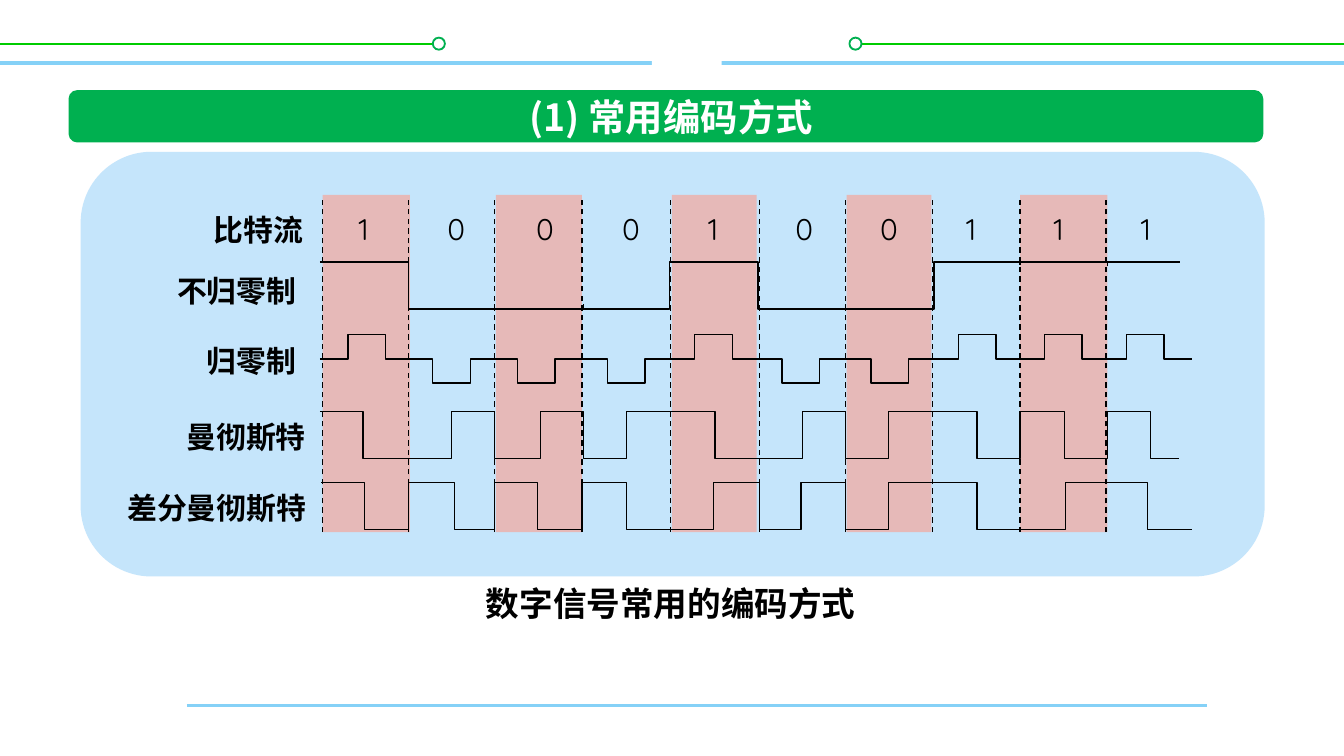
import pptx
import pptx.util
import pptx.dml.color
import pptx.enum.dml
import pptx.enum.shapes
import pptx.enum.text
import pptx.oxml.ns
import lxml.etree

SCALE = 9144
CJK, LATIN = "Noto Sans CJK SC", "Quicksand"
BLACK, WHITE, GREEN, LIME = "000000", "FFFFFF", "00B050", "00CC00"
SKY, PANEL, BAND = "85D1F7", "C5E5FB", "E6B9B8"

TITLE = "(1) 常用编码方式"
CAPTION = "数字信号常用的编码方式"
LABELS = [
    ("比特流", 149, 152),
    ("不归零制", 122, 198),
    ("归零制", 144, 250),
    ("曼彻斯特", 129, 306),
    ("差分曼彻斯特", 85, 359),
]
BITS = "1000100111"
BIT_LEFTS = [257, 323, 389, 453, 517, 582, 645, 709, 774, 839]
EDGES = [240, 304, 368, 433, 499, 565, 629, 694, 759, 823]
BANDS = [(240, 65), (369, 64), (500, 63), (630, 63), (759, 65)]
TICKS = [(368, 226), (434, 226), (629, 226), (759, 194), (824, 195)]
PULSE_LEFTS = [238, 301, 364, 431, 496, 561, 627, 692, 756, 817]
PULSE_BASE, PULSE_HEIGHT = 267, 18
WAVES = [
    (195, 238, [304, 498, 564, 695], 878),
    (306, 238, [270, 336, 368, 402, 434, 466, 532, 597, 629, 661,
                727, 759, 792, 824, 856], 877),
    (359, 239, [271, 304, 338, 368, 400, 433, 466, 531, 565, 596,
                629, 661, 727, 793, 854], 887),
]
WAVE_HEIGHT = 35

prs = pptx.Presentation()
prs.slide_width = 1000 * SCALE
prs.slide_height = prs.slide_width * 9 // 16
s = prs.slides.add_slide(prs.slide_layouts[6])
KIND = pptx.enum.shapes.MSO_SHAPE


def rgb(value):
    return pptx.dml.color.RGBColor.from_string(value)


def shape(kind, x, y, w, h, fill, line=None):
    sp = s.shapes.add_shape(kind, x * SCALE, y * SCALE, w * SCALE, h * SCALE)
    sp.shadow.inherit = False
    sp.fill.solid()
    sp.fill.fore_color.rgb = rgb(fill)
    if line:
        sp.line.color.rgb = rgb(line)
        sp.line.width = pptx.util.Pt(1)
    else:
        sp.line.fill.background()
    return sp


def line(x1, y1, x2, y2, color, width, dashed=False):
    c = s.shapes.add_connector(pptx.enum.shapes.MSO_CONNECTOR.STRAIGHT,
                               x1 * SCALE, y1 * SCALE, x2 * SCALE, y2 * SCALE)
    c.line.color.rgb = rgb(color)
    c.line.width = pptx.util.Pt(width)
    if dashed:
        c.line.dash_style = pptx.enum.dml.MSO_LINE.DASH
    lxml.etree.SubElement(c._element.spPr, pptx.oxml.ns.qn("a:effectLst"))


def text(words, x, y, w, h, size, font=CJK, color=BLACK, bold=True,
         centred=False):
    sp = s.shapes.add_textbox(x * SCALE, y * SCALE, w * SCALE, h * SCALE)
    tf = sp.text_frame
    tf.word_wrap = True
    tf.vertical_anchor = pptx.enum.text.MSO_ANCHOR.MIDDLE
    p = tf.paragraphs[0]
    align = pptx.enum.text.PP_ALIGN
    p.alignment = align.CENTER if centred else align.LEFT
    r = p.add_run()
    r.text = words
    r.font.size = pptx.util.Pt(size)
    r.font.name = font
    r.font.bold = bold
    r.font.color.rgb = rgb(color)
    ea = lxml.etree.SubElement(r.font._element, pptx.oxml.ns.qn("a:ea"))
    ea.set("typeface", font)


def trace(points):
    builder = s.shapes.build_freeform(*points[0], scale=SCALE)
    builder.add_line_segments(points[1:], close=False)
    sp = builder.convert_to_shape()
    sp.shadow.inherit = False
    sp.fill.background()
    sp.line.color.rgb = rgb(BLACK)
    sp.line.width = pptx.util.Pt(0.75)


def wave(top, start, toggles, end):
    y = top
    points = [(start, y)]
    for x in toggles:
        points.append((x, y))
        y = 2 * top + WAVE_HEIGHT - y
        points.append((x, y))
    trace(points + [(end, y)])


def pulse(left, bit):
    base = PULSE_BASE
    peak = base - PULSE_HEIGHT if bit == "1" else base + PULSE_HEIGHT
    rise, fall = left + 21, left + 49
    trace([(left, base), (rise, base), (rise, peak),
           (fall, peak), (fall, base), (left + 70, base)])


for x1, x2, dot in [(0, 324, 322), (632, 1000, 632)]:
    line(x1, 33, x2, 33, LIME, 1)
    shape(KIND.OVAL, dot, 28, 9, 9, WHITE, GREEN)
line(139, 525, 898, 525, SKY, 1.5)
line(0, 47, 1000, 47, SKY, 2)
shape(KIND.RECTANGLE, 485, 14, 52, 51, WHITE)

shape(KIND.ROUNDED_RECTANGLE, 51, 67, 889, 39, GREEN)
text(TITLE, 137, 67, 725, 39, 20, color=WHITE, centred=True)
shape(KIND.ROUNDED_RECTANGLE, 60, 113, 881, 316, PANEL)
text(CAPTION, 339, 429, 320, 40, 18, centred=True)

for x, w in BANDS:
    shape(KIND.RECTANGLE, x, 145, w, 251, BAND)
for words, x, y in LABELS:
    text(words, x, y, 23 * len(words) + 22, 37, 16)
for bit, x in zip(BITS, BIT_LEFTS):
    text(bit, x, 151, 35, 38, 16, LATIN, bold=False)
for x in EDGES:
    line(x, 396, x, 149, BLACK, 0.75, dashed=True)
for x, y in TICKS:
    line(x, y + 3, x, y, BLACK, 0.75)
for row in WAVES:
    wave(*row)
for x, bit in zip(PULSE_LEFTS, BITS):
    pulse(x, bit)

prs.save("out.pptx")
